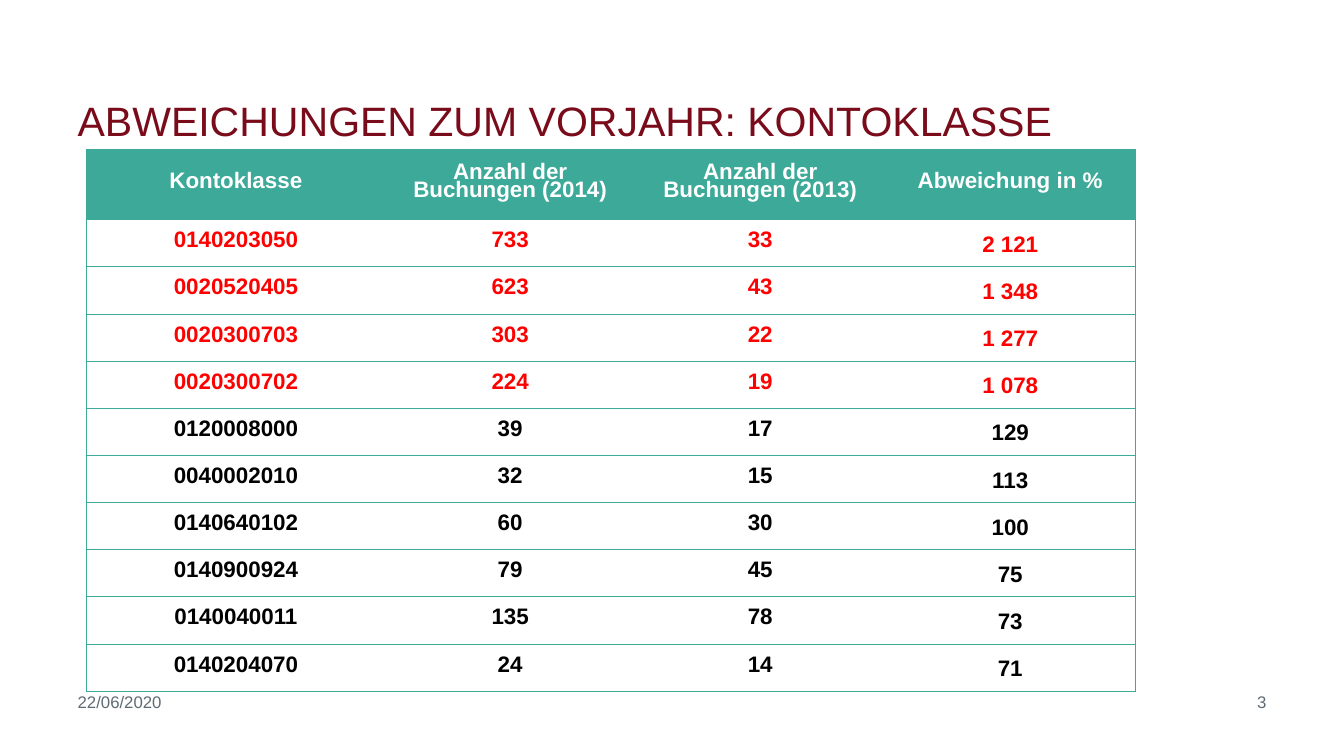
from lxml.etree import SubElement, Element
from pptx import Presentation
from pptx.dml.color import RGBColor
from pptx.enum.text import MSO_ANCHOR as Anchor, PP_ALIGN as Align
from pptx.oxml.ns import qn
from pptx.util import Inches, Pt

TITLE = "ABWEICHUNGEN ZUM VORJAHR: KONTOKLASSE"
DATE = "22/06/2020"
PAGE = "3"
HEADER = ("Kontoklasse", "Anzahl der Buchungen (2014)",
          "Anzahl der Buchungen (2013)", "Abweichung in %")
ACCOUNTS = [
    ("0140203050", "733", "33", "2 121"),
    ("0020520405", "623", "43", "1 348"),
    ("0020300703", "303", "22", "1 277"),
    ("0020300702", "224", "19", "1 078"),
    ("0120008000", "39", "17", "129"),
    ("0040002010", "32", "15", "113"),
    ("0140640102", "60", "30", "100"),
    ("0140900924", "79", "45", "75"),
    ("0140040011", "135", "78", "73"),
    ("0140204070", "24", "14", "71"),
]
FLAGGED_ROWS = 4
COLORS = {"title": "790B1A", "teal": "3CA999", "footer": "5D6C74",
          "header": "FFFFFF", "flagged": "FF0000", "normal": "000000"}
FONT = "Arial"
WIDTH, HEIGHT = 13.33, 7.5
MARGIN = 0.77
TABLE_LEFT, TABLE_TOP = 0.86, 1.48
COLUMNS = [2.96] + [2.48] * 3
ROWS = [0.7] + [0.468] * len(ACCOUNTS)


def write(frame, text, size, color, align=Align.LEFT, bold=False):
    paragraph = frame.paragraphs[0]
    paragraph.alignment = align
    run = paragraph.add_run()
    run.text = text
    run.font.name = FONT
    run.font.size = Pt(size)
    run.font.bold = bold
    run.font.color.rgb = RGBColor.from_string(COLORS[color])
    return paragraph


def clear_insets(frame):
    frame.word_wrap = True
    frame.margin_left = frame.margin_right = 0
    frame.margin_top = frame.margin_bottom = 0


def add_footer(slide, text, left, width, align):
    box = slide.shapes.add_textbox(Inches(left), Inches(6.86), Inches(width), Inches(0.25))
    clear_insets(box.text_frame)
    write(box.text_frame, text, 12, "footer", align)


def set_borders(cell, visible):
    properties = cell._tc.get_or_add_tcPr()
    for position, side in enumerate("LRTB"):
        line = Element(qn(f"a:ln{side}"), w=str(Pt(0.75)))
        if side in visible:
            fill = SubElement(line, qn("a:solidFill"))
            SubElement(fill, qn("a:srgbClr"), val=COLORS["teal"])
        else:
            SubElement(line, qn("a:noFill"))
        properties.insert(position, line)


def fill_cell(cell, text, row, column):
    last = len(COLUMNS) - 1
    is_header = row == 0
    is_deviation = column == last and not is_header
    color = "header" if is_header else "flagged" if row <= FLAGGED_ROWS else "normal"
    cell.margin_left = cell.margin_right = Inches(0.07)
    cell.margin_top = cell.margin_bottom = 0
    cell.vertical_anchor = Anchor.TOP if is_deviation else Anchor.MIDDLE
    paragraph = write(cell.text_frame, text, 16, color, Align.CENTER, True)
    paragraph.line_spacing = 1.5 if is_deviation else Pt(13)
    if is_header:
        cell.fill.solid()
        cell.fill.fore_color.rgb = RGBColor.from_string(COLORS["teal"])
    else:
        cell.fill.background()
    set_borders(cell, "TB" + ("L" if column == 0 else "R" if column == last else ""))


def add_account_table(slide):
    table = slide.shapes.add_table(
        len(ROWS), len(COLUMNS), Inches(TABLE_LEFT), Inches(TABLE_TOP),
        Inches(sum(COLUMNS)), Inches(sum(ROWS))).table
    table.horz_banding = False
    for column, width in zip(table.columns, COLUMNS):
        column.width = Inches(width)
    for row, height in zip(table.rows, ROWS):
        row.height = Inches(height)
    for row, values in enumerate([HEADER] + ACCOUNTS):
        for column, text in enumerate(values):
            fill_cell(table.cell(row, column), text, row, column)


def main():
    presentation = Presentation()
    presentation.slide_width, presentation.slide_height = Inches(WIDTH), Inches(HEIGHT)
    slide = presentation.slides.add_slide(presentation.slide_layouts[5])
    title = slide.shapes.title
    title.left, title.top = Inches(MARGIN), Inches(0.39)
    title.width, title.height = Inches(9.83), Inches(1.05)
    clear_insets(title.text_frame)
    title.text_frame.vertical_anchor = Anchor.BOTTOM
    write(title.text_frame, TITLE, 29.3, "title")
    add_footer(slide, PAGE, WIDTH - MARGIN - 2.66, 2.66, Align.RIGHT)
    add_footer(slide, DATE, MARGIN, 2.78, Align.LEFT)
    add_account_table(slide)
    presentation.save("out.pptx")


if __name__ == "__main__":
    main()
